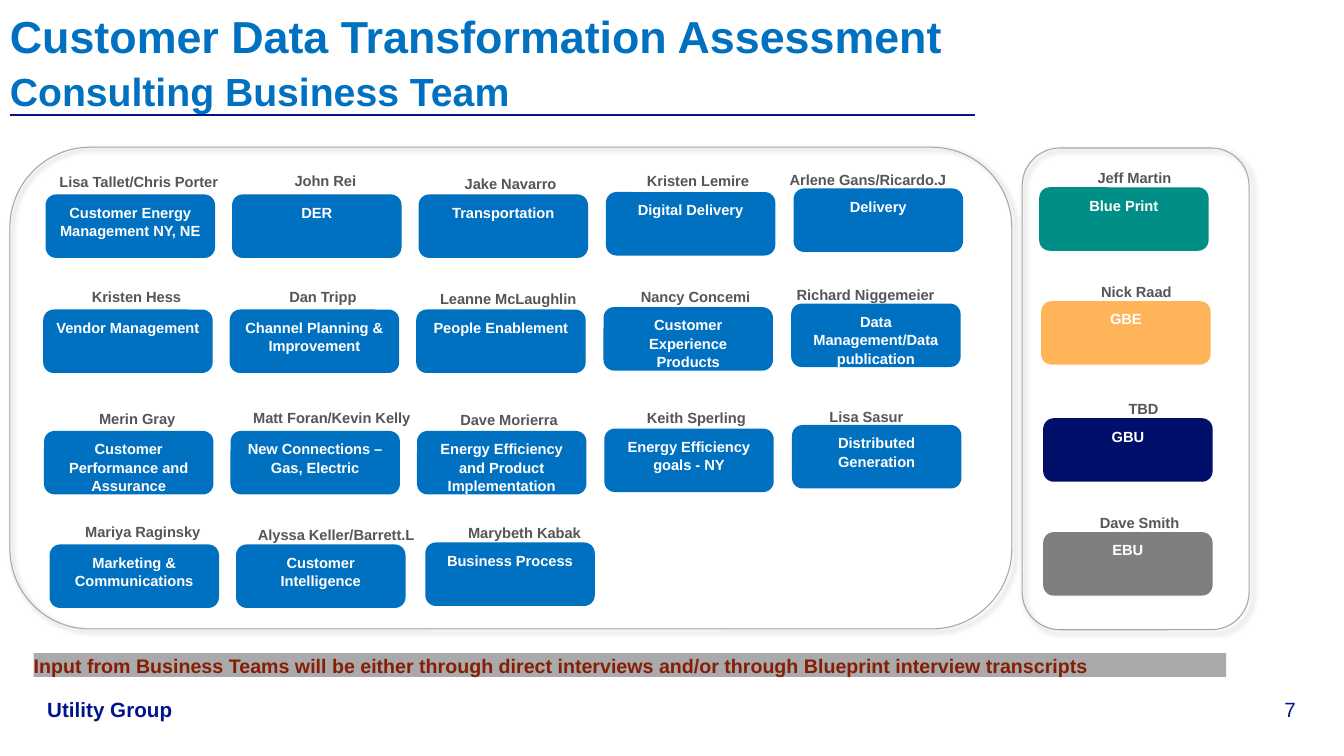
import pptx
import pptx.util
import pptx.dml.color
import pptx.enum.shapes
import pptx.enum.text
import lxml.etree
from dataclasses import dataclass

TITLE = "Customer Data Transformation Assessment"
SUBTITLE = "Consulting Business Team"
INPUT_NOTE = ("Input from Business Teams will be either through direct interviews "
              "and/or through Blueprint interview transcripts")
FOOTER = "Utility Group"
PAGE_NUMBER = "7"

TEAM_ROWS = [
    (1.15, 4.9, [
        ("Lisa Tallet/Chris Porter", "Customer Energy Management NY, NE"),
        ("John Rei", "DER"),
        ("Jake Navarro", "Transportation"),
        ("Kristen Lemire", "Digital Delivery"),
        ("Arlene Gans/Ricardo.J", "Delivery"),
    ]),
    (1.09, 7.8, [
        ("Kristen Hess", "Vendor Management"),
        ("Dan Tripp", "Channel Planning & Improvement"),
        ("Leanne McLaughlin", "People Enablement"),
        ("Nancy Concemi", "Customer Experience Products"),
        ("Richard Niggemeier", "Data Management/Data publication"),
    ]),
    (1.11, 10.86, [
        ("Merin Gray", "Customer Performance and Assurance"),
        ("Matt Foran/Kevin Kelly", "New Connections – Gas, Electric"),
        ("Dave Morierra", "Energy Efficiency and Product Implementation"),
        ("Keith Sperling", "Energy Efficiency goals - NY"),
        ("Lisa Sasur", "Distributed Generation"),
    ]),
    (1.25, 13.72, [
        ("Mariya Raginsky", "Marketing & Communications"),
        ("Alyssa Keller/Barrett.L", "Customer Intelligence"),
        ("Marybeth Kabak", "Business Process"),
    ]),
]

COLUMNS = [
    {"across": 0, "raise": 0, "label_shift": 0, "label_raise": 0.56, "label_width": 4.7},
    {"across": 4.7, "raise": 0, "label_shift": 0, "label_raise": 0.58, "label_width": 4.7},
    {"across": 9.4, "raise": 0, "label_shift": -0.03, "label_raise": 0.52, "label_width": 4.7},
    {"across": 14.12, "raise": 0.06, "label_shift": -0.03, "label_raise": 0.52, "label_width": 4.7},
    {"across": 18.85, "raise": 0.15, "label_shift": -1.06, "label_raise": 0.46, "label_width": 5.87},
]

EXCEPTIONS = {
    "Matt Foran/Kevin Kelly": {"label_width": 5.11},
    "Alyssa Keller/Barrett.L": {"label_shift": -0.13, "label_raise": 0.48, "label_width": 5.31},
    "Marybeth Kabak": {"across": 9.47, "raise": 0.05, "label_shift": 0.15, "label_raise": 0.48},
}

SIDE_TEAMS = [
    ("Jeff Martin", "Blue Print", "blueprint", 26.19, 4.72, 0.05),
    ("Nick Raad", "GBE", "gbe", 26.24, 7.59, 0.05),
    ("TBD", "GBU", "gbu", 26.29, 10.54, 0.18),
    ("Dave Smith", "EBU", "ebu", 26.29, 13.41, 0.08),
]

PANELS = [(0.25, 3.71, 25.25, 12.14), (25.76, 3.73, 5.72, 12.14)]
BOX_WIDTH, BOX_HEIGHT = 4.27, 1.6
LABEL_HEIGHT = 0.45
SIDE_LABEL_RAISE = 0.48


@dataclass
class Theme:
    font = "Arial"
    blue = "0070C0"
    white = "FFFFFF"
    label = "55555A"
    footer = "00148C"
    rule = "001489"
    panel_line = "A6A6A6"
    band = "AAAAAC"
    band_text = "851E03"
    blueprint = "008E87"
    gbe = "FFB45A"
    gbu = "000F69"
    ebu = "7F7F7F"
    title_size = 32
    subtitle_size = 28
    footer_size = 14.7
    note_size = 14
    body_size = 10.5


Cm = pptx.util.Cm
Pt = pptx.util.Pt
Align = pptx.enum.text.PP_ALIGN
Anchor = pptx.enum.text.MSO_ANCHOR
Preset = pptx.enum.shapes.MSO_SHAPE
DRAWING = "http://schemas.openxmlformats.org/drawingml/2006/main"

theme = Theme()
presentation = pptx.Presentation()
presentation.slide_width, presentation.slide_height = Cm(33.87), Cm(19.05)
slide = presentation.slides.add_slide(presentation.slide_layouts[6])


def color(value):
    return pptx.dml.color.RGBColor.from_string(value)


def write(shape, *lines, size=theme.body_size, fill=theme.label, bold=True,
          align=Align.LEFT, anchor=Anchor.TOP, spacing=1.05, after=0, insets=(0, 0)):
    frame = shape.text_frame
    frame.word_wrap = True
    frame.vertical_anchor = anchor
    frame.margin_left = frame.margin_right = Cm(insets[0])
    frame.margin_top = frame.margin_bottom = Cm(insets[1])
    sizes = size if isinstance(size, tuple) else (size,)
    for index, (line, points) in enumerate(zip(lines, sizes)):
        paragraph = frame.add_paragraph() if index else frame.paragraphs[0]
        paragraph.alignment = align
        paragraph.line_spacing = spacing
        paragraph.space_after = Pt(after)
        run = paragraph.add_run()
        run.text = line
        run.font.name = theme.font
        run.font.size = Pt(points)
        run.font.bold = bold
        run.font.color.rgb = color(fill)


def add_text(left, top, width, height, *lines, **format):
    box = slide.shapes.add_textbox(Cm(left), Cm(top), Cm(width), Cm(height))
    write(box, *lines, **format)


def add_block(preset, left, top, width, height, fill=None):
    shape = slide.shapes.add_shape(preset, Cm(left), Cm(top), Cm(width), Cm(height))
    shape.shadow.inherit = False
    shape.line.fill.background()
    if fill:
        shape.fill.solid()
        shape.fill.fore_color.rgb = color(fill)
    else:
        shape.fill.background()
    return shape


def add_team(name, role, fill, left, top, label_shift, label_raise, label_width=4.7):
    box = add_block(Preset.ROUNDED_RECTANGLE, left, top, BOX_WIDTH, BOX_HEIGHT, fill)
    write(box, role, fill=theme.white, align=Align.CENTER, after=4.5, insets=(0.25, 0.13))
    add_text(left + label_shift, top - label_raise, label_width, LABEL_HEIGHT, name,
             align=Align.CENTER, after=6)


def add_panel(left, top, width, height):
    panel = add_block(Preset.ROUNDED_RECTANGLE, left, top, width, height)
    panel.line.color.rgb = color(theme.panel_line)
    panel.line.width = Pt(0.75)
    effects = panel._element.spPr.find(f"{{{DRAWING}}}effectLst")
    shadow = lxml.etree.SubElement(effects, f"{{{DRAWING}}}outerShdw", blurRad=str(Pt(4)),
                                   dist=str(Pt(3)), dir="2700000", algn="tl", rotWithShape="0")
    shade = lxml.etree.SubElement(shadow, f"{{{DRAWING}}}srgbClr", val="000000")
    lxml.etree.SubElement(shade, f"{{{DRAWING}}}alpha", val="40000")


add_text(30.68, 17.55, 1.98, 0.64, PAGE_NUMBER, size=theme.footer_size, fill=theme.footer,
         bold=False, align=Align.RIGHT, anchor=Anchor.BOTTOM)
add_text(1.19, 17.55, 3.6, 0.64, FOOTER, size=theme.footer_size, fill=theme.footer,
         anchor=Anchor.BOTTOM)
add_text(0.25, 0.08, 31.47, 1.6, TITLE, SUBTITLE, fill=theme.blue, spacing=1.1,
         size=(theme.title_size, theme.subtitle_size))

for row_left, row_top, members in TEAM_ROWS:
    for column, (name, role) in zip(COLUMNS, members):
        place = {**column, **EXCEPTIONS.get(name, {})}
        add_team(name, role, theme.blue, row_left + place["across"], row_top - place["raise"],
                 place["label_shift"], place["label_raise"], place["label_width"])

for name, role, fill, left, top, label_shift in SIDE_TEAMS:
    add_team(name, role, getattr(theme, fill), left, top, label_shift, SIDE_LABEL_RAISE)

for panel_place in PANELS:
    add_panel(*panel_place)

band = add_block(Preset.RECTANGLE, 0.85, 16.46, 30.05, 0.6, theme.band)
write(band, INPUT_NOTE, size=theme.note_size, fill=theme.band_text, after=6)

rule = slide.shapes.add_connector(pptx.enum.shapes.MSO_CONNECTOR.STRAIGHT,
                                  Cm(0.25), Cm(2.9), Cm(24.56), Cm(2.9))
rule.line.color.rgb = color(theme.rule)
rule.line.width = Pt(1.5)
lxml.etree.SubElement(rule._element.spPr, f"{{{DRAWING}}}effectLst")

presentation.save("out.pptx")
